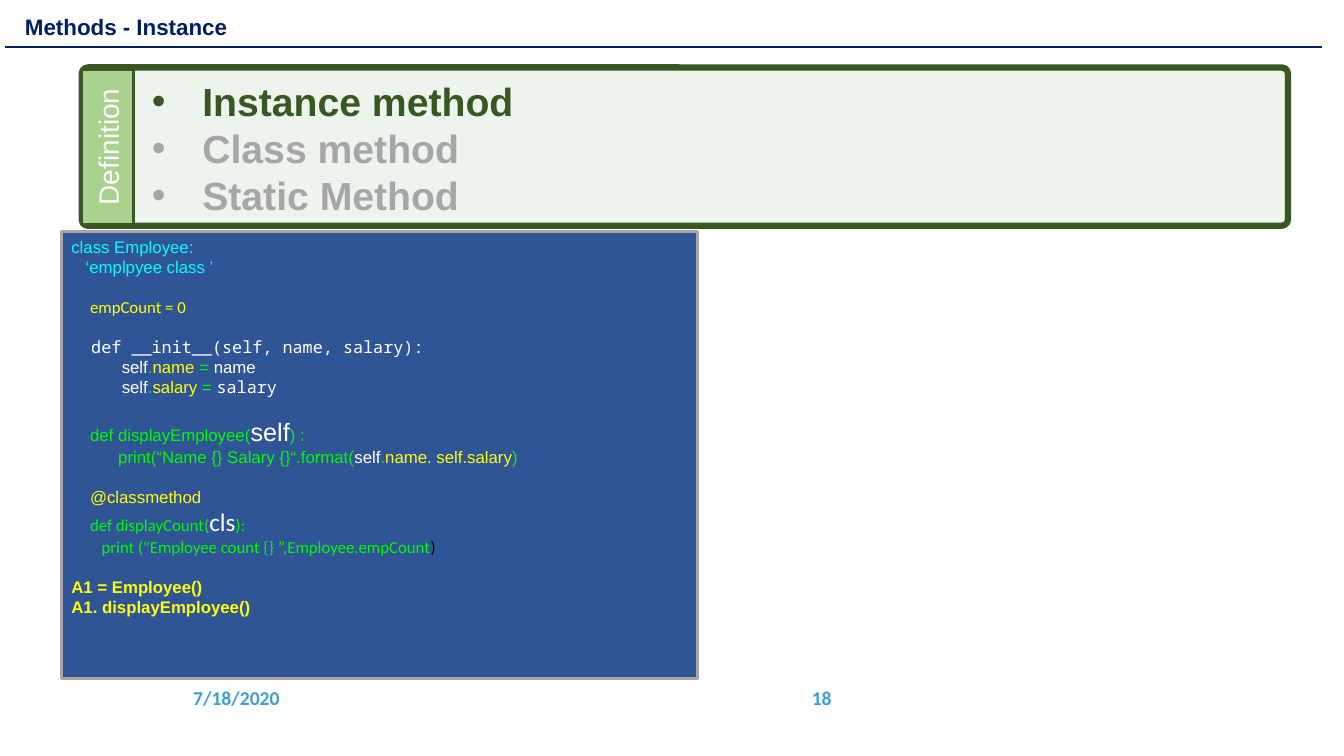
from dataclasses import dataclass
from typing import NamedTuple

from lxml import etree
from pptx import Presentation
from pptx.dml import color
from pptx.enum import shapes, text
from pptx.oxml import ns
from pptx.util import Cm, Pt

COLORS = {
    "white": "FFFFFF", "black": "000000", "navy": "002060", "footer": "409ED2",
    "panel": "2F5597", "gray": "A6A6A6", "dark_green": "385723",
    "pale_green": "AACEB0", "label_green": "A9D18E",
    "cyan": "00FDFF", "yellow": "FFFF00", "green": "00F900",
}
MONO = "Noto Sans Mono"
BLANK_LINE = 14  # points
ALIGN = text.PP_ALIGN
ANCHOR = text.MSO_ANCHOR
SHAPE = shapes.MSO_SHAPE


class Box(NamedTuple):
    """Left, top, width and height in centimetres."""
    left: float
    top: float
    width: float
    height: float

    def lengths(self) -> list:
        return [Cm(value) for value in self]


@dataclass
class Span:
    words: str
    color: str
    size: float = 12
    font: str = "Arial"
    bold: bool = False


@dataclass
class Line:
    spans: list
    indent: float = 0  # cm
    gap: float = 0  # points above
    align: ALIGN = ALIGN.LEFT
    bullet: bool = False
    spacing: float = 1.0


def rgb(name: str) -> color.RGBColor:
    return color.RGBColor.from_string(COLORS[name])


def write(frame, lines: list, anchor=ANCHOR.TOP, wrap: bool = True) -> None:
    frame.word_wrap = wrap
    frame.vertical_anchor = anchor
    for index, line in enumerate(lines):
        paragraph = frame.add_paragraph() if index else frame.paragraphs[0]
        paragraph.alignment = line.align
        paragraph.space_before = Pt(line.gap)
        paragraph.line_spacing = line.spacing
        properties = paragraph._p.get_or_add_pPr()
        properties.set("marL", str(Cm(line.indent)))
        if line.bullet:
            properties.set("indent", str(-Cm(line.indent)))
            font = etree.SubElement(properties, ns.qn("a:buFont"))
            font.set("typeface", "Arial")
            etree.SubElement(properties, ns.qn("a:buChar")).set("char", "•")
        for span in line.spans:
            run = paragraph.add_run()
            run.text = span.words
            run.font.name = span.font
            run.font.size = Pt(span.size)
            run.font.bold = span.bold
            run.font.color.rgb = rgb(span.color)


def add_text(slide, box: Box, lines: list, anchor=ANCHOR.TOP) -> None:
    write(slide.shapes.add_textbox(*box.lengths()).text_frame, lines, anchor)


def add_block(slide, kind, box: Box, fill: str, border: str = "", width: float = 0):
    shape = slide.shapes.add_shape(kind, *box.lengths())
    shape.shadow.inherit = False
    shape.fill.solid()
    shape.fill.fore_color.rgb = rgb(fill)
    if border:
        shape.line.color.rgb = rgb(border)
        shape.line.width = Pt(width)
    else:
        shape.line.fill.background()
    return shape


def add_rule(slide, left: float, right: float, top: float) -> None:
    rule = slide.shapes.add_connector(
        shapes.MSO_CONNECTOR.STRAIGHT, Cm(left), Cm(top), Cm(right), Cm(top))
    rule.line.color.rgb = rgb("navy")
    rule.line.width = Pt(1.5)
    etree.SubElement(rule._element.spPr, ns.qn("a:effectLst"))


def assignment(field: str, value_font: str) -> Line:
    return Line([Span("self", "white"), Span(".", "green"), Span(field, "yellow"),
                 Span(" = ", "green"), Span(field, "white", font=value_font)], 1.27)


CODE = [
    Line([Span("class Employee:", "cyan")]),
    Line([Span("‘emplpyee class ’", "cyan")], 0.36),
    Line([Span("empCount = 0", "yellow", font="Calibri")], 0.47, BLANK_LINE),
    Line([Span("def __init__(self, name, salary):", "white", font=MONO)],
         0.5, BLANK_LINE),
    assignment("name", "Arial"),
    assignment("salary", MONO),
    Line([Span("def displayEmployee(", "green"), Span("self", "white", 18),
          Span(") :", "green")], 0.47, BLANK_LINE),
    Line([Span("print(“Name {} Salary {}“.format(", "green"), Span("self", "white"),
          Span(".", "green"), Span("name. self.salary", "yellow"),
          Span(")", "green")], 1.18),
    Line([Span("@classmethod", "yellow")], 0.47, BLANK_LINE),
    Line([Span("def displayCount(", "green", font="Calibri"),
          Span("cls", "white", 18, "Calibri"),
          Span("):", "green", font="Calibri")], 0.47),
    Line([Span('print ("Employee count {} ”,Employee.empCount', "green", font="Calibri"),
          Span(")", "black", font="Calibri")], 0.76),
    Line([Span("A1 = Employee()", "yellow", bold=True)], gap=BLANK_LINE),
    Line([Span("A1. displayEmployee()", "yellow", bold=True)]),
]
METHODS = [("Instance method", "dark_green"), ("Class method", "gray"),
           ("Static Method", "gray")]
FOOTERS = [("7/18/2020", Box(4.62, 17.07, 3.51, 1.02), ALIGN.LEFT),
           ("18", Box(13.51, 17.07, 7.7, 1.02), ALIGN.RIGHT)]


def main() -> None:
    presentation = Presentation()
    presentation.slide_width, presentation.slide_height = Cm(33.87), Cm(19.05)
    slide = presentation.slides.add_slide(presentation.slide_layouts[6])

    # Date and slide number
    for words, box, align in FOOTERS:
        span = Span(words, "footer", 14, "Calibri", True)
        add_text(slide, box, [Line([span], align=align)], ANCHOR.MIDDLE)

    # Title and rule
    title = add_block(slide, SHAPE.RECTANGLE, Box(0.38, 0.25, 22.96, 0.89), "white")
    write(title.text_frame,
          [Line([Span("Methods - Instance", "navy", 16, bold=True)], spacing=0.9)],
          ANCHOR.BOTTOM)
    add_rule(slide, 0.13, 33.32, 1.19)

    # Code panel
    add_block(slide, SHAPE.RECTANGLE, Box(1.55, 5.84, 16.03, 11.25),
              "panel", "gray", 2.25)
    add_text(slide, Box(1.55, 5.84, 16.03, 10.52), CODE)

    # Definition frame with its rotated label
    frame = add_block(slide, SHAPE.ROUNDED_RECTANGLE, Box(2.06, 1.7, 30.4, 3.99),
                      "pale_green", "dark_green", 4.5)
    frame.adjustments[0] = 0.04
    fill_color = frame._element.spPr.find(ns.qn("a:solidFill"))[0]
    etree.SubElement(fill_color, ns.qn("a:alpha")).set("val", "22000")
    label = add_block(slide, SHAPE.RECTANGLE, Box(0.76, 3.05, 3.91, 1.3),
                      "label_green", "dark_green", 2.25)
    label.rotation = 270
    write(label.text_frame,
          [Line([Span("Definition", "white", 20)], align=ALIGN.CENTER)],
          ANCHOR.MIDDLE, wrap=False)

    # Kinds of method
    add_text(slide, Box(3.58, 1.83, 27.38, 3.84),
             [Line([Span(words, shade, 28, bold=True)], 1.27, bullet=True)
              for words, shade in METHODS])

    presentation.save("out.pptx")


if __name__ == "__main__":
    main()
